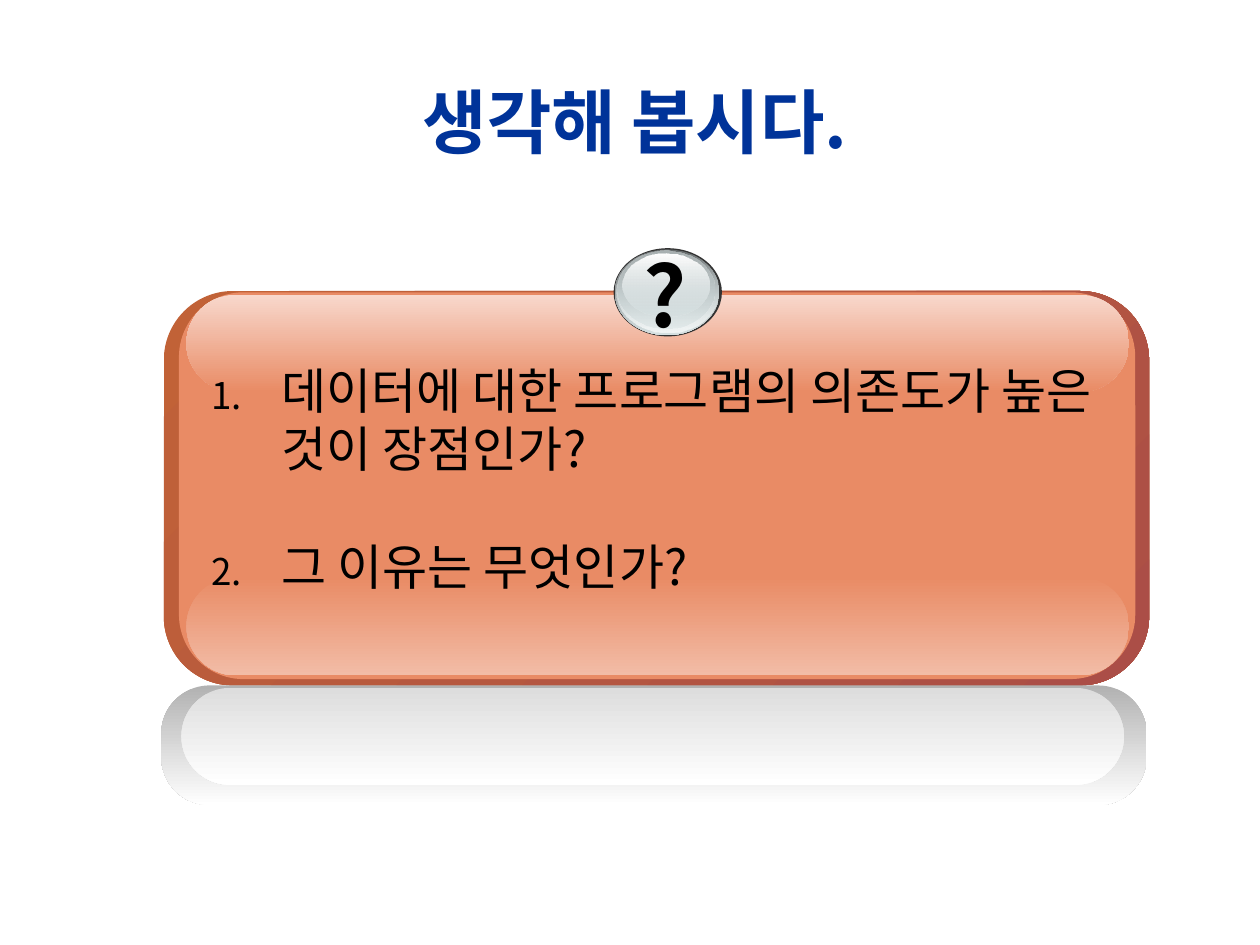
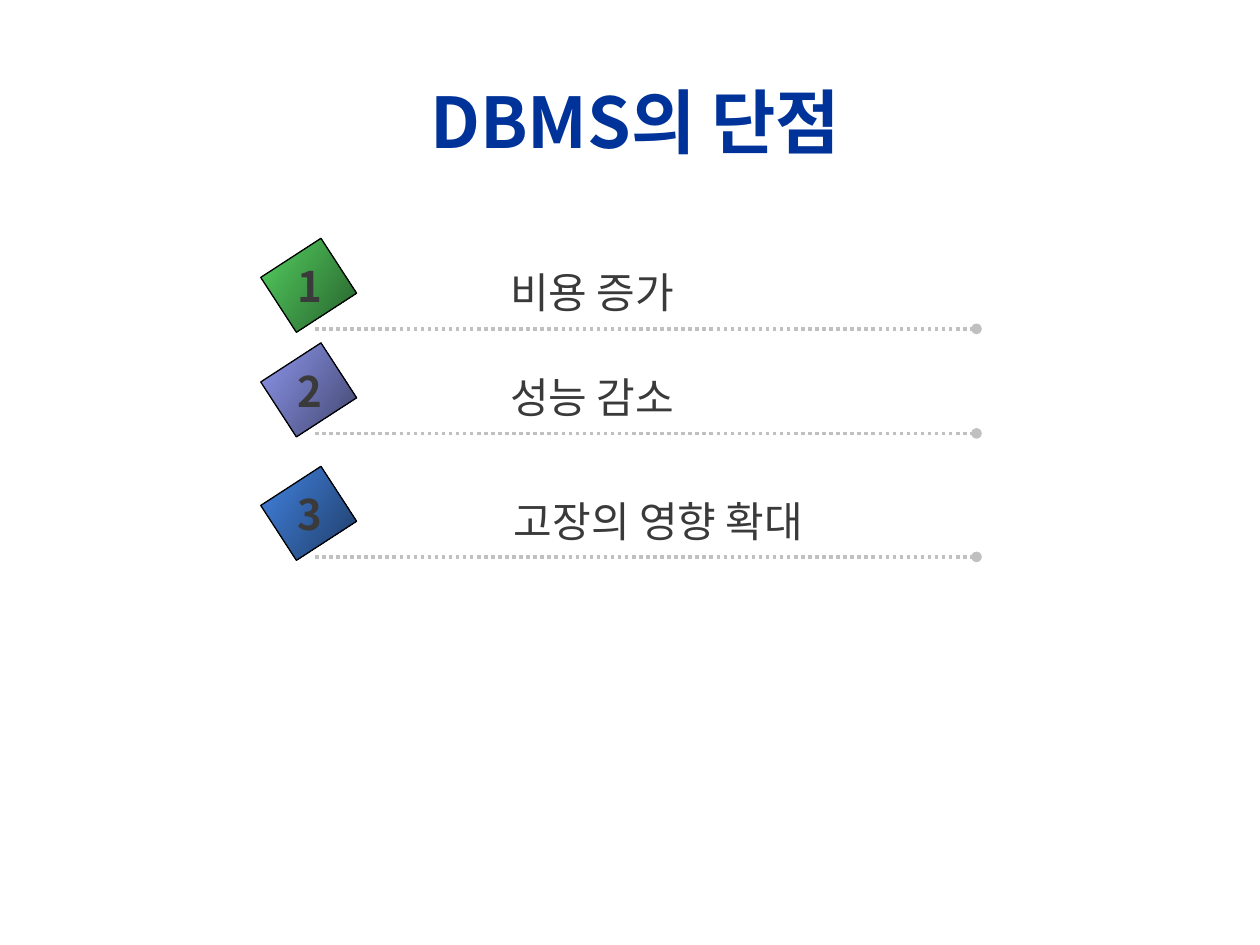
from lxml import etree
from pptx import Presentation
from pptx.dml.color import RGBColor
from pptx.enum.dml import MSO_LINE
from pptx.enum.shapes import MSO_CONNECTOR, MSO_SHAPE
from pptx.enum.text import MSO_ANCHOR, MSO_AUTO_SIZE, PP_ALIGN
from pptx.oxml.ns import qn
from pptx.util import Inches, Pt

FONT = "Noto Sans CJK KR"
LEADING = 1.2

NAVY = RGBColor(0x00, 0x33, 0x99)
BLACK = RGBColor(0x00, 0x00, 0x00)
WHITE = RGBColor(0xFF, 0xFF, 0xFF)
CHARCOAL = RGBColor(0x3A, 0x3A, 0x3A)
RIM = RGBColor(0x33, 0x33, 0x33)
RULE_GRAY = RGBColor(0xC0, 0xC0, 0xC0)
RUST = RGBColor(0xC1, 0x62, 0x37)
BRICK = RGBColor(0xAB, 0x4E, 0x47)
CORAL = RGBColor(0xE9, 0x8B, 0x65)
PEACH = RGBColor(0xF2, 0xBC, 0xA6)
BLUSH = RGBColor(0xF8, 0xD8, 0xCC)
STEEL = RGBColor(0x63, 0x68, 0x69)
SILVER = RGBColor(0xAA, 0xB2, 0xB3)
ICE = RGBColor(0xD6, 0xE1, 0xE2)
FROST = RGBColor(0xF1, 0xF5, 0xF5)
SHADE = RGBColor(0xB2, 0xB2, 0xB2)
PALE = RGBColor(0xDD, 0xDD, 0xDD)
GREEN, DARK_GREEN = RGBColor(0x54, 0xD0, 0x60), RGBColor(0x27, 0x60, 0x2C)
VIOLET, DARK_VIOLET = RGBColor(0x8E, 0x97, 0xEE), RGBColor(0x42, 0x46, 0x6E)
BLUE, DARK_BLUE = RGBColor(0x43, 0x83, 0xE1), RGBColor(0x1F, 0x3D, 0x68)


class Deck:
    """Holds the shared style and the slide being built."""

    def __init__(self):
        self.prs = Presentation()
        self.prs.slide_width, self.prs.slide_height = Inches(10), Inches(7.5)

    def slide(self, title):
        self.s = self.prs.slides.add_slide(self.prs.slide_layouts[6])
        self.shapes = self.s.shapes
        tf = self.text((0.75, 0.67, 8.58, 0.58), [title], wrap=True,
                       size=40, color=NAVY, bold=True)
        tf.auto_size = MSO_AUTO_SIZE.NONE
        tf.vertical_anchor = MSO_ANCHOR.MIDDLE
        tf.paragraphs[0].alignment = PP_ALIGN.CENTER

    def group(self):
        self.shapes = self.s.shapes.add_group_shape().shapes

    def ungroup(self):
        self.shapes = self.s.shapes

    def shape(self, kind, box, colors, angle=90, alphas=(None, None),
              radius=None, rotation=0, outline=None):
        """One colour fills solid; two make a gradient, angle clockwise."""
        sp = self.shapes.add_shape(kind, *map(Inches, box))
        sp.shadow.inherit = False
        sp.rotation = rotation
        if radius is not None:
            sp.adjustments[0] = radius
        if len(colors) == 1:
            sp.fill.solid()
            sp.fill.fore_color.rgb = colors[0]
        else:
            self.gradient(sp, colors, angle, alphas)
        if outline is None:
            sp.line.fill.background()
        else:
            sp.line.color.rgb = outline
            sp.line.width = Pt(0.75)

    def gradient(self, sp, colors, angle, alphas):
        sp.fill.gradient()
        sp.fill.gradient_angle = 360 - angle
        grad = sp._element.spPr.find(qn("a:gradFill"))
        grad.set("rotWithShape", "0")
        for stop, color in zip(sp.fill.gradient_stops, colors):
            stop.color.rgb = color
        for clr, alpha in zip(grad.iter(qn("a:srgbClr")), alphas):
            if alpha is not None:
                etree.SubElement(clr, qn("a:alpha")).set("val", str(alpha * 1000))

    def text(self, box, lines, size, color, bold=False, wrap=False,
             numbered=False):
        tf = self.shapes.add_textbox(*map(Inches, box)).text_frame
        tf.word_wrap = wrap
        tf.auto_size = MSO_AUTO_SIZE.SHAPE_TO_FIT_TEXT
        style = {"size": Pt(size), "bold": bold, "name": FONT}
        for i, line in enumerate(lines):
            p = tf.add_paragraph() if i else tf.paragraphs[0]
            if numbered:
                self.number(p)
            p.line_spacing = Pt(size * LEADING)
            if i:
                p.space_before = Pt(size * LEADING)
            r = p.add_run()
            r.text = line
            for name, value in style.items():
                setattr(r.font, name, value)
            r.font.color.rgb = color
            etree.SubElement(r._r.get_or_add_rPr(), qn("a:ea")).set("typeface", FONT)
        return tf

    def number(self, p):
        pPr = p._p.get_or_add_pPr()
        pPr.set("marL", str(Inches(0.56)))
        pPr.set("indent", str(-Inches(0.56)))
        clr = etree.SubElement(pPr, qn("a:buClr"))
        etree.SubElement(clr, qn("a:srgbClr")).set("val", str(BLACK))
        etree.SubElement(pPr, qn("a:buSzPct")).set("val", "75000")
        etree.SubElement(pPr, qn("a:buFont")).set("typeface", FONT)
        etree.SubElement(pPr, qn("a:buAutoNum")).set("type", "arabicPeriod")

    def dotted_rule(self, left, right, y):
        line = self.shapes.add_connector(
            MSO_CONNECTOR.STRAIGHT, *map(Inches, (left, y, right, y)))
        line.line.color.rgb = RULE_GRAY
        line.line.width = Pt(2)
        line.line.dash_style = MSO_LINE.ROUND_DOT
        spPr = line._element.spPr
        etree.SubElement(spPr.find(qn("a:ln")), qn("a:tailEnd")).set("type", "oval")
        etree.SubElement(spPr, qn("a:effectLst"))


def question_slide(deck):
    deck.slide("생각해 봅시다.")
    panel = MSO_SHAPE.ROUNDED_RECTANGLE

    # Glossy panel
    deck.shape(panel, (1.3, 2.31, 7.82, 3.13), (RUST, BRICK), angle=45, radius=0.175)
    deck.shape(panel, (1.42, 2.32, 7.59, 3.07), (CORAL,), radius=0.167)
    deck.shape(panel, (1.48, 4.58, 7.48, 0.78), (CORAL, PEACH), radius=0.5)
    deck.shape(panel, (1.48, 2.34, 7.48, 0.77), (BLUSH, CORAL), radius=0.5)

    # Glass button, from rim to highlight
    deck.group()
    for box, colors, alphas in (
        ((4.87, 1.97, 0.86, 0.7), (RIM,), (None, None)),
        ((4.88, 1.98, 0.83, 0.68), (STEEL, ICE), (None, None)),
        ((4.89, 1.98, 0.81, 0.66), (ICE, FROST), (0, None)),
        ((4.9, 1.99, 0.77, 0.62), (SILVER, ICE), (None, 48)),
        ((4.94, 2.01, 0.69, 0.5), (WHITE, ICE), (None, 38)),
    ):
        deck.shape(MSO_SHAPE.OVAL, box, colors, alphas=alphas)
    deck.ungroup()

    # Questions
    deck.text((1.58, 2.81, 7.44, 1.97),
              ["데이터에 대한 프로그램의 의존도가 높은 것이 장점인가?",
               "그 이유는 무엇인가?"],
              size=28, color=BLACK, wrap=True, numbered=True)

    # Reflection below the panel
    deck.shape(panel, (1.28, 5.44, 7.82, 0.95), (SHADE, WHITE), radius=0.404)
    deck.shape(panel, (1.44, 5.46, 7.48, 0.77), (PALE, WHITE), radius=0.5)

    deck.text((5.01, 1.88, 0.56, 0.9), ["?"], size=48, color=BLACK, bold=True)


def drawbacks_slide(deck):
    deck.slide("DBMS의 단점")
    drawbacks = (
        ("비용 증가", 2.61, 3.95, 1.59, (GREEN, DARK_GREEN)),
        ("성능 감소", 3.44, 3.95, 1.59, (VIOLET, DARK_VIOLET)),
        ("고장의 영향 확대", 4.42, 3.98, 2.66, (BLUE, DARK_BLUE)),
    )
    # Each row hangs from its dotted rule
    for i, (label, rule_y, left, width, colors) in enumerate(drawbacks, 1):
        deck.group()
        deck.dotted_rule(2.5, 7.75, rule_y)
        deck.shape(MSO_SHAPE.RECTANGLE, (2.19, rule_y - 0.63, 0.52, 0.57), colors,
                   angle=33, rotation=57, outline=BLACK)
        deck.text((left, rule_y - 0.54, width, 0.5), [label], size=24, color=CHARCOAL)
        deck.text((2.26, rule_y - 0.59, 0.38, 0.5), [str(i)], size=24,
                  color=CHARCOAL, bold=True)


def main():
    deck = Deck()
    question_slide(deck)
    drawbacks_slide(deck)
    deck.prs.save("out.pptx")


if __name__ == "__main__":
    main()
